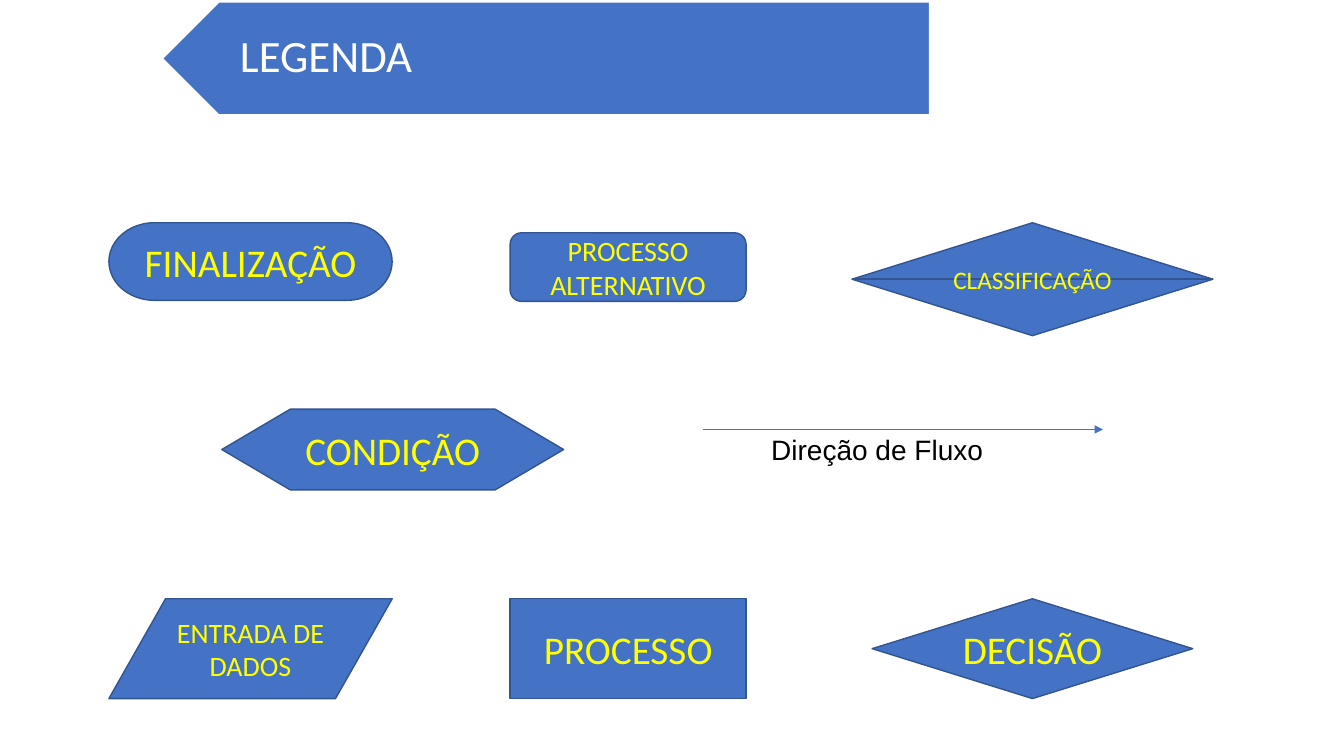
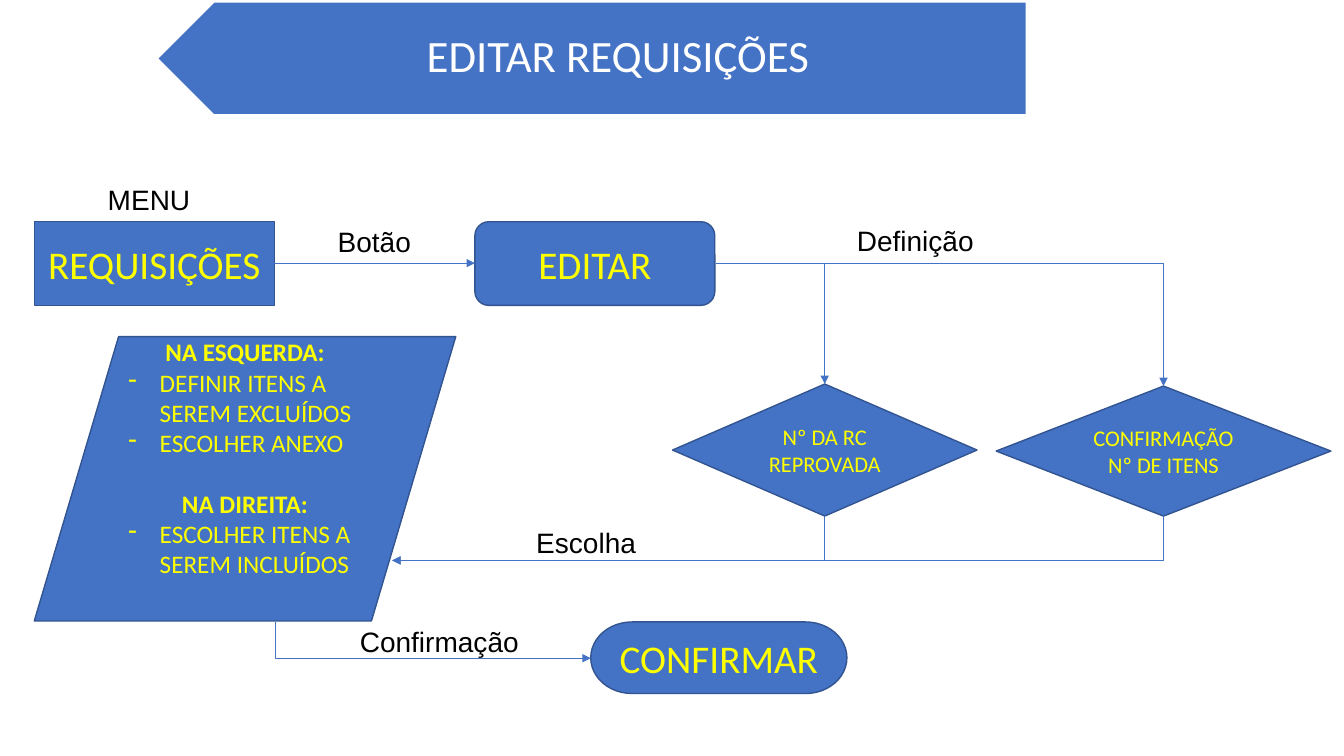
from lxml.etree import SubElement as Sub
from pptx import Presentation
from pptx.dml.color import RGBColor
from pptx.enum.shapes import MSO_CONNECTOR as Link, MSO_SHAPE as Form
from pptx.enum.text import MSO_ANCHOR as Anchor, MSO_AUTO_SIZE as Fit, PP_ALIGN as Align
from pptx.oxml.ns import qn
from pptx.util import Inches, Pt

BLUE, EDGE, GOLD = "4472C4", "325491", "FFFF00"
WHITE, BLACK = "FFFFFF", "000000"
HEAD, BODY = "Calibri", "Arial"


def ink(part, code):
    """Give a font, or the solid fill of a shape or line, a hex colour."""
    fill = part if hasattr(part, "solid") else part.fill
    fill.solid()
    fill.fore_color.rgb = RGBColor.from_string(code)


def write(para, text, size, code, face=HEAD, bold=False):
    """Add one formatted run to a paragraph."""
    run = para.add_run()
    run.text = text
    font = run.font
    font.size, font.name, font.bold = Pt(size), face, bold
    ink(font, code)


def next_para(frame, first):
    """Return the first paragraph of a frame or a new one."""
    return frame.paragraphs[0] if first else frame.add_paragraph()


def block(slide, form, box, edge=EDGE):
    """Add a blue shape without a shadow."""
    shape = slide.shapes.add_shape(form, *map(Inches, box))
    shape.shadow.inherit = False
    ink(shape, BLUE)
    ink(shape.line, edge)
    shape.line.width = Pt(1)
    return shape


def node(slide, form, box, text, size=28):
    """Add a flowchart symbol with centred text."""
    frame = block(slide, form, box).text_frame
    frame.word_wrap = True
    frame.vertical_anchor = Anchor.MIDDLE
    for i, line in enumerate(text.split("\n")):
        para = next_para(frame, i == 0)
        para.alignment = Align.CENTER
        write(para, line, size, GOLD)


def dash(para):
    """Give a paragraph a dash bullet and a hanging indent."""
    props = para._p.get_or_add_pPr()
    props.set("marL", str(Inches(0.31)))
    props.set("indent", str(Inches(-0.31)))
    Sub(props, qn("a:buChar")).set("char", "-")


def panel(slide, box, groups, size=18):
    """Add a data symbol with headed, dashed lists."""
    frame = block(slide, Form.FLOWCHART_DATA, box).text_frame
    frame.word_wrap = True
    frame.vertical_anchor = Anchor.TOP
    frame.margin_top = 0
    for i, (head, items) in enumerate(groups):
        para = next_para(frame, i == 0)
        para.alignment = Align.CENTER
        if i:
            para.space_before = Pt(size * 1.2)
        write(para, head, size, GOLD, bold=True)
        for item in items:
            para = frame.add_paragraph()
            para.alignment = Align.LEFT
            dash(para)
            write(para, item, size, GOLD)


def label(slide, left, top, width, text):
    """Add a plain caption beside a symbol or an arrow."""
    box = slide.shapes.add_textbox(*map(Inches, (left, top, width, 0.44)))
    frame = box.text_frame
    frame.word_wrap = True
    frame.auto_size = Fit.SHAPE_TO_FIT_TEXT
    write(frame.paragraphs[0], text, 20, BLACK, BODY)


def arrow(slide, start, end, kind=Link.STRAIGHT):
    """Add a thin connector with an arrowhead at its end."""
    link = slide.shapes.add_connector(kind, *map(Inches, start + end))
    ink(link.line, BLUE)
    link.line.width = Pt(0.5)
    props = link._element.spPr
    Sub(props.find(qn("a:ln")), qn("a:tailEnd")).set("type", "triangle")
    Sub(props, qn("a:effectLst"))
    return link


def bend(slide, start, end, down=False):
    """Add an arrow with one corner, going across first unless down is set."""
    link = arrow(slide, start, end, Link.ELBOW)
    props = link._element.spPr
    props.find(qn("a:prstGeom")).set("prst", "bentConnector2")
    if not down:
        return
    (ax, ay), (bx, by) = start, end
    wide, high = abs(by - ay), abs(bx - ax)
    link.left, link.top = Inches((ax + bx - wide) / 2), Inches((ay + by - high) / 2)
    link.width, link.height = Inches(wide), Inches(high)
    frame = props.find(qn("a:xfrm"))
    right = bx > ax
    frame.set("flipH", "1" if right else "0")
    frame.set("rot", str((270 if right else 90) * 60000))


def page(deck, text, left, width, align):
    """Add a slide whose title lies on a band that points left."""
    slide = deck.slides.add_slide(deck.slide_layouts[5])
    band = block(slide, Form.PENTAGON, (left, 0.02, width, 1.12), WHITE)
    band.rotation = 180
    title = slide.shapes.title
    title._element.addprevious(band._element)
    title.left, title.top = Inches(left + 0.28), Inches(0.02)
    title.width, title.height = Inches(width - 0.28), Inches(1.12)
    frame = title.text_frame
    frame.auto_size = Fit.NONE
    frame.word_wrap = True
    frame.vertical_anchor = Anchor.MIDDLE
    frame.margin_left, frame.margin_right = Inches(0.49), Inches(0.25)
    frame.margin_top = frame.margin_bottom = Inches(0.13)
    para = frame.paragraphs[0]
    para.alignment, para.line_spacing = align, 0.9
    write(para, text, 32, WHITE)
    return slide


def legend(deck):
    """Build the key to the symbols."""
    slide = page(deck, "LEGENDA", 1.61, 7.61, Align.LEFT)
    for form, box, text, size in (
        (Form.FLOWCHART_TERMINATOR, (1.08, 2.21, 2.81, 0.77), "FINALIZAÇÃO", 28),
        (Form.FLOWCHART_DATA, (1.08, 5.94, 2.81, 0.99), "ENTRADA DE DADOS", 20),
        (Form.FLOWCHART_ALTERNATE_PROCESS, (5.06, 2.31, 2.34, 0.68),
         "PROCESSO\nALTERNATIVO", 20),
        (Form.FLOWCHART_PROCESS, (5.06, 5.94, 2.34, 0.99), "PROCESSO", 28),
        (Form.FLOWCHART_DECISION, (8.65, 5.94, 3.18, 0.99), "DECISÃO", 28),
        (Form.FLOWCHART_SORT, (8.45, 2.21, 3.58, 1.12), "CLASSIFICAÇÃO", 18),
        (Form.FLOWCHART_PREPARATION, (2.2, 4.06, 3.39, 0.8), "CONDIÇÃO", 28),
    ):
        node(slide, form, box, text, size)
    arrow(slide, (6.97, 4.26), (10.94, 4.26))
    label(slide, 7.55, 4.24, 2.71, "Direção de Fluxo")


def flow(deck):
    """Build the flow for editing requests."""
    slide = page(deck, "EDITAR REQUISIÇÕES", 1.56, 8.62, Align.CENTER)
    node(slide, Form.FLOWCHART_PROCESS, (0.34, 2.2, 2.38, 0.83), "REQUISIÇÕES")
    node(slide, Form.FLOWCHART_ALTERNATE_PROCESS, (4.71, 2.2, 2.38, 0.83), "EDITAR")
    node(slide, Form.FLOWCHART_TERMINATOR, (5.86, 6.17, 2.54, 0.71), "CONFIRMAR")
    arrow(slide, (2.72, 2.61), (4.71, 2.61))
    for left, top, wide, text in (
        (6.67, 3.81, 3.02, "Nº DA RC REPROVADA"),
        (9.88, 3.83, 3.32, "CONFIRMAÇÃO Nº DE ITENS"),
    ):
        base, mid = 5.12, left + wide / 2
        node(slide, Form.FLOWCHART_DECISION, (left, top, wide, base - top), text, 16)
        bend(slide, (7.1, 2.61), (mid, top))
        bend(slide, (mid, base), (3.89, 5.56), down=True)
    bend(slide, (2.73, 6.17), (5.86, 6.53), down=True)
    panel(slide, (0.34, 3.34, 4.18, 2.82), (
        ("NA ESQUERDA:", ("DEFINIR ITENS A SEREM EXCLUÍDOS", "ESCOLHER ANEXO")),
        ("NA DIREITA:", ("ESCOLHER ITENS A SEREM INCLUÍDOS",)),
    ))
    for left, top, wide, text in (
        (0.97, 1.76, 1.13, "MENU"),
        (3.25, 2.18, 0.95, "Botão"),
        (8.4, 2.17, 1.87, "Definição"),
        (5.22, 5.16, 1.87, "Escolha"),
        (3.47, 6.15, 2.11, "Confirmação"),
    ):
        label(slide, left, top, wide, text)


def main():
    """Build and save the deck."""
    deck = Presentation()
    deck.slide_width, deck.slide_height = Inches(13.33), Inches(7.5)
    legend(deck)
    flow(deck)
    deck.save("out.pptx")


main()
